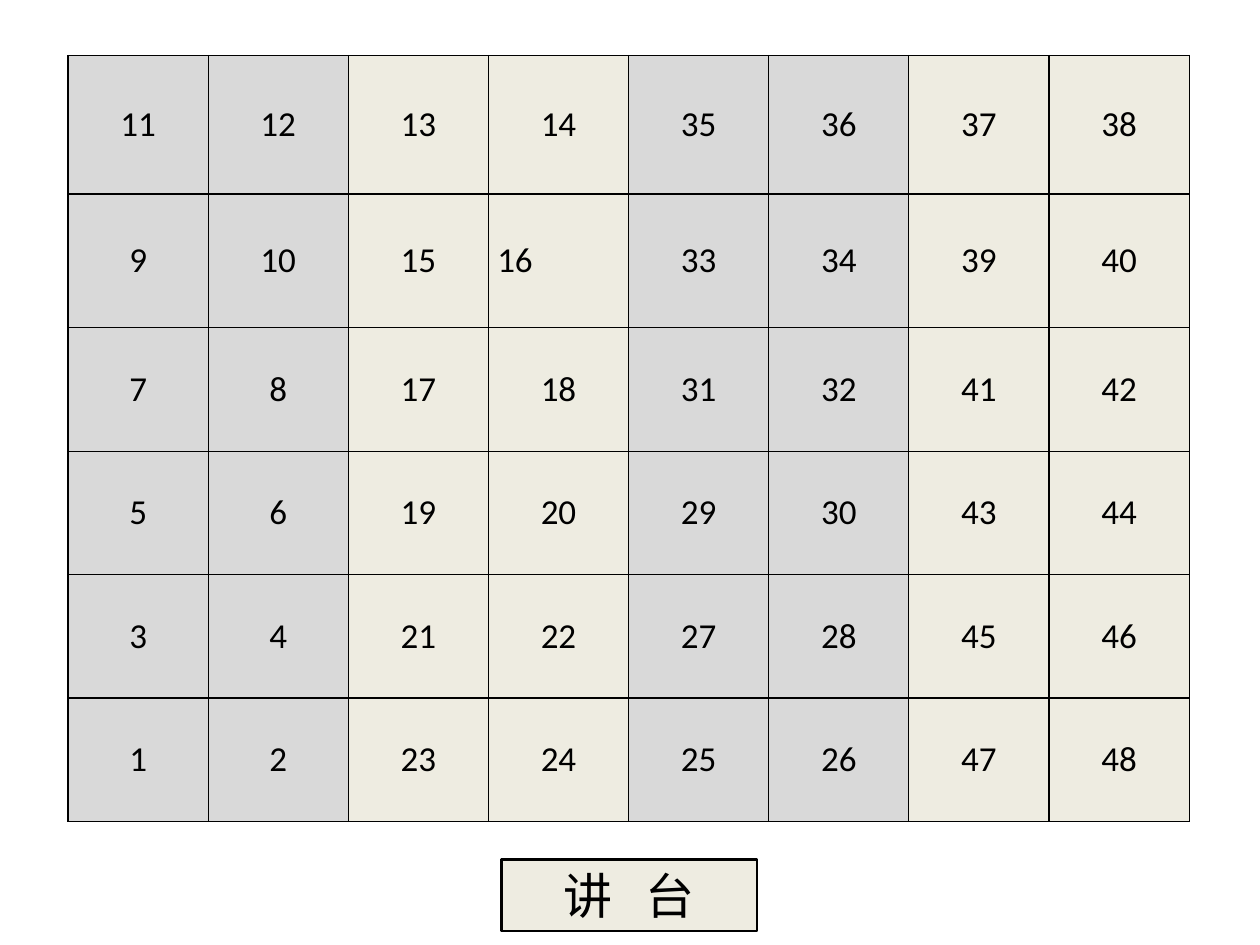
from dataclasses import dataclass

from lxml import etree
from pptx import Presentation
from pptx.dml.color import RGBColor
from pptx.enum.shapes import MSO_SHAPE
from pptx.enum.text import MSO_ANCHOR, PP_ALIGN
from pptx.oxml.ns import qn
from pptx.util import Inches, Pt


@dataclass(frozen=True)
class Theme:
    black: str = "000000"
    grey: str = "D9D9D9"
    cream: str = "EEECE1"
    seat_size: int = 20
    podium_size: int = 28
    seat_font: str = "Calibri"
    podium_font: str = "Noto Sans CJK SC"


theme = Theme()
ROWS, COLUMNS = 6, 8
ROW_HEIGHTS = [1.1, 1.06] + [0.98] * 4


def style_font(font, name, size):
    font.name = name
    font.size = Pt(size)
    font.color.rgb = RGBColor.from_string(theme.black)


def add_borders(cell):
    properties = cell._tc.get_or_add_tcPr()
    for side in ("a:lnL", "a:lnR", "a:lnT", "a:lnB"):
        line = etree.SubElement(properties, qn(side), w=str(Pt(0.75)))
        fill = etree.SubElement(line, qn("a:solidFill"))
        etree.SubElement(fill, qn("a:srgbClr"), val=theme.black)


presentation = Presentation()
presentation.slide_width = Inches(10)
presentation.slide_height = Inches(7.5)
slide = presentation.slides.add_slide(presentation.slide_layouts[6])

# Seating table
table = slide.shapes.add_table(
    ROWS, COLUMNS, Inches(0.54), Inches(0.44), Inches(8.9), Inches(sum(ROW_HEIGHTS))
).table
table.first_row = False
table.horz_banding = False
for row, height in zip(table.rows, ROW_HEIGHTS):
    row.height = Inches(height)

# Seats snake through four pairs of columns, from the front left corner
for row in range(ROWS):
    for column in range(COLUMNS):
        pair, side = divmod(column, 2)
        goes_back = pair % 2 == 0
        step = ROWS - 1 - row if goes_back else row
        seat = pair * 2 * ROWS + step * 2 + side + 1

        cell = table.cell(row, column)
        add_borders(cell)
        cell.fill.solid()
        cell.fill.fore_color.rgb = RGBColor.from_string(
            theme.grey if goes_back else theme.cream
        )
        cell.vertical_anchor = MSO_ANCHOR.MIDDLE
        cell.margin_left = cell.margin_right = Inches(0.07)
        cell.margin_top = cell.margin_bottom = Inches(0.05)
        cell.text_frame.text = str(seat)
        paragraph = cell.text_frame.paragraphs[0]
        paragraph.alignment = PP_ALIGN.JUSTIFY if seat == 16 else PP_ALIGN.CENTER
        style_font(paragraph.runs[0].font, theme.seat_font, theme.seat_size)

# Podium
podium = slide.shapes.add_shape(
    MSO_SHAPE.RECTANGLE, Inches(3.98), Inches(6.82), Inches(2.03), Inches(0.57)
)
podium.shadow.inherit = False
podium.fill.solid()
podium.fill.fore_color.rgb = RGBColor.from_string(theme.cream)
podium.line.color.rgb = RGBColor.from_string(theme.black)
podium.line.width = Pt(1.5)
podium.text_frame.vertical_anchor = MSO_ANCHOR.MIDDLE
paragraph = podium.text_frame.paragraphs[0]
paragraph.alignment = PP_ALIGN.CENTER
for text in "讲 台":
    run = paragraph.add_run()
    run.text = text
    style_font(run.font, theme.podium_font, theme.podium_size)
    properties = run._r.get_or_add_rPr()
    etree.SubElement(properties, qn("a:ea"), typeface=theme.podium_font)
    if text == " ":
        properties.set("spc", "1250")  # widens the gap between the characters

presentation.save("out.pptx")
